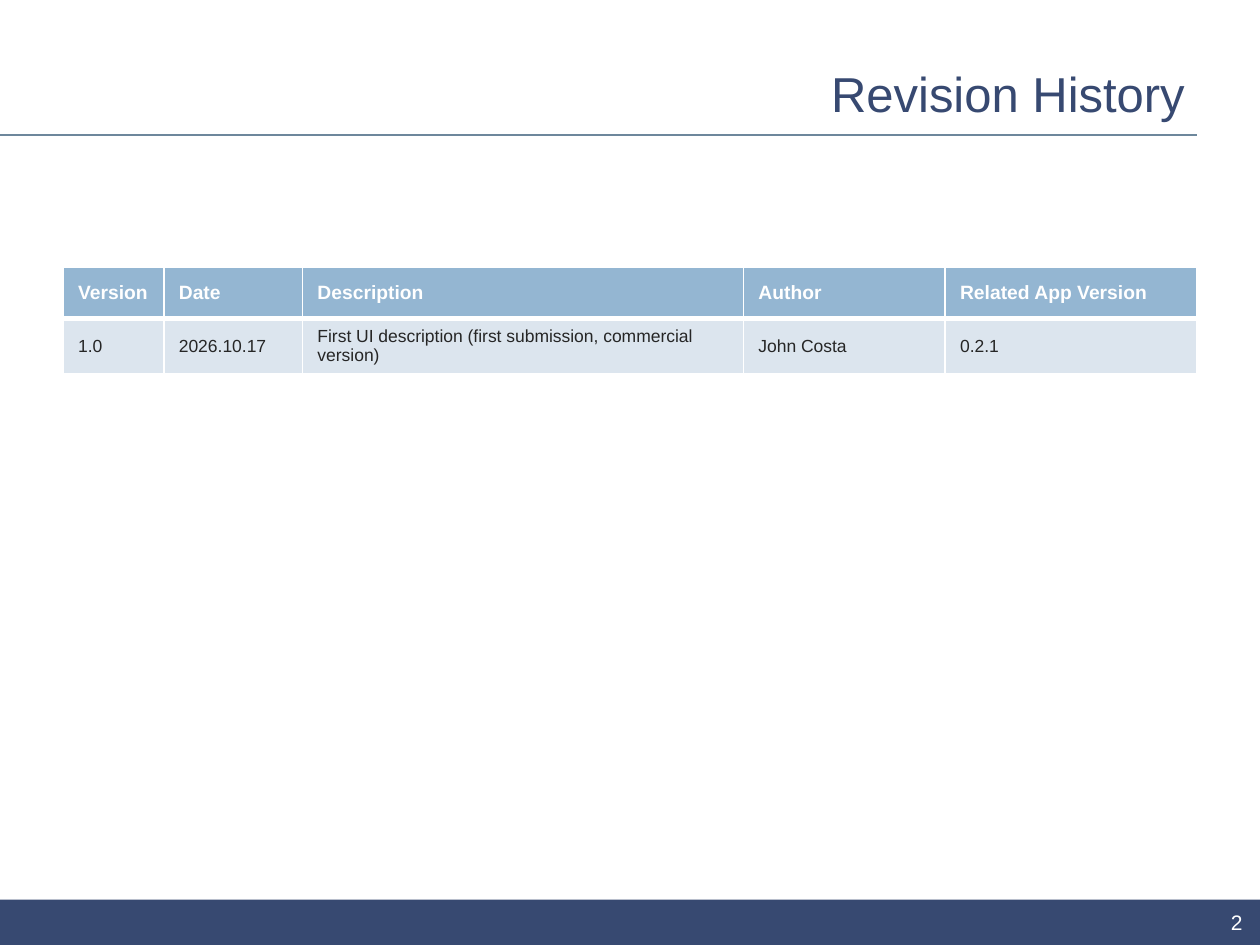
import pptx
import pptx.dml.color
import pptx.enum.shapes
import pptx.enum.text
import pptx.oxml
import pptx.oxml.ns
import pptx.util
from pptx.util import Inches

NAVY, WHITE, RULE = "374971", "FFFFFF", "6D879C"
HEADER_FILL, BODY_FILL, BODY_TEXT = "94B6D2", "DCE5EE", "262626"
COLUMN_WIDTHS = [0.8, 1.1, 3.5, 1.6, 2]
ROW_HEIGHT = 0.41
ROWS = [
    ["Version", "Date", "Description", "Author", "Related App Version"],
    ["1.0", "2026.10.17",
     "First UI description (first submission, commercial version)",
     "John Costa", "0.2.1"],
]
HEADER_STYLE = {"size": 11, "color": WHITE, "bold": True}
BODY_STYLE = {"size": 10, "color": BODY_TEXT, "bold": False}


def rgb(color):
    return pptx.dml.color.RGBColor.from_string(color)


def write(tf, text, size, color, bold=False, align=None):
    p = tf.paragraphs[0]
    p.alignment = align
    r = p.add_run()
    r.text = text
    font = {"name": "Arial", "size": pptx.util.Pt(size), "bold": bold}
    for name, value in font.items():
        setattr(r.font, name, value)
    r.font.color.rgb = rgb(color)


def add_right_text(s, box, text, size, color):
    tf = s.shapes.add_textbox(*map(Inches, box)).text_frame
    tf.word_wrap = True
    tf.vertical_anchor = pptx.enum.text.MSO_ANCHOR.MIDDLE
    write(tf, text, size, color, align=pptx.enum.text.PP_ALIGN.RIGHT)


def add_footer_bar(s):
    sp = s.shapes.add_shape(pptx.enum.shapes.MSO_SHAPE.RECTANGLE,
                            Inches(0), Inches(7.14), Inches(10), Inches(0.36))
    sp.shadow.inherit = False
    sp.fill.solid()
    sp.fill.fore_color.rgb = rgb(NAVY)
    sp.line.fill.background()


def add_title_rule(s):
    line = s.shapes.add_connector(pptx.enum.shapes.MSO_CONNECTOR.STRAIGHT,
                                  Inches(0), Inches(1.07), Inches(9.5), Inches(1.07))
    line.line.color.rgb = rgb(RULE)
    line.line.width = pptx.util.Pt(1)
    line._element.spPr.append(pptx.oxml.parse_xml(
        f'<a:effectLst {pptx.oxml.ns.nsdecls("a")}/>'))


def set_borders(cell, widths):
    """Draw white borders; widths maps the sides L, R, T, B to points."""
    tc_pr = cell._tc.get_or_add_tcPr()
    for i, side in enumerate("LRTB"):
        tc_pr.insert(i, pptx.oxml.parse_xml(
            f'<a:ln{side} {pptx.oxml.ns.nsdecls("a")} w="{pptx.util.Pt(widths[side])}">'
            f'<a:solidFill><a:srgbClr val="{WHITE}"/></a:solidFill></a:ln{side}>'))


def fill_cell(cell, text, fill, style, borders):
    layout = {
        "vertical_anchor": pptx.enum.text.MSO_ANCHOR.MIDDLE,
        "margin_left": Inches(0.12), "margin_right": Inches(0.1),
        "margin_top": Inches(0.05), "margin_bottom": Inches(0.05),
    }
    for name, value in layout.items():
        setattr(cell, name, value)
    cell.fill.solid()
    cell.fill.fore_color.rgb = rgb(fill)
    set_borders(cell, borders)
    write(cell.text_frame, text, **style)


def add_revision_table(s):
    table = s.shapes.add_table(
        len(ROWS), len(COLUMN_WIDTHS), Inches(0.5), Inches(2.12),
        Inches(sum(COLUMN_WIDTHS)), Inches(ROW_HEIGHT * len(ROWS))).table
    for column, width in zip(table.columns, COLUMN_WIDTHS):
        column.width = Inches(width)
    thin = {"L": 1, "R": 1, "T": 1, "B": 1}
    formats = [(HEADER_FILL, HEADER_STYLE, {**thin, "B": 3}),
               (BODY_FILL, BODY_STYLE, {**thin, "T": 3})]
    for row, texts, row_format in zip(table.rows, ROWS, formats):
        row.height = Inches(ROW_HEIGHT)
        for cell, text in zip(row.cells, texts):
            fill_cell(cell, text, *row_format)


def main():
    prs = pptx.Presentation()
    prs.slide_width, prs.slide_height = Inches(10), Inches(7.5)
    s = prs.slides.add_slide(prs.slide_layouts[6])
    add_footer_bar(s)
    add_title_rule(s)
    add_right_text(s, (0.5, 0.4, 9, 0.67), "Revision History", 28, NAVY)
    add_right_text(s, (7.71, 7.21, 2.25, 0.21), "2", 12, WHITE)
    add_revision_table(s)
    prs.save("out.pptx")


if __name__ == "__main__":
    main()
